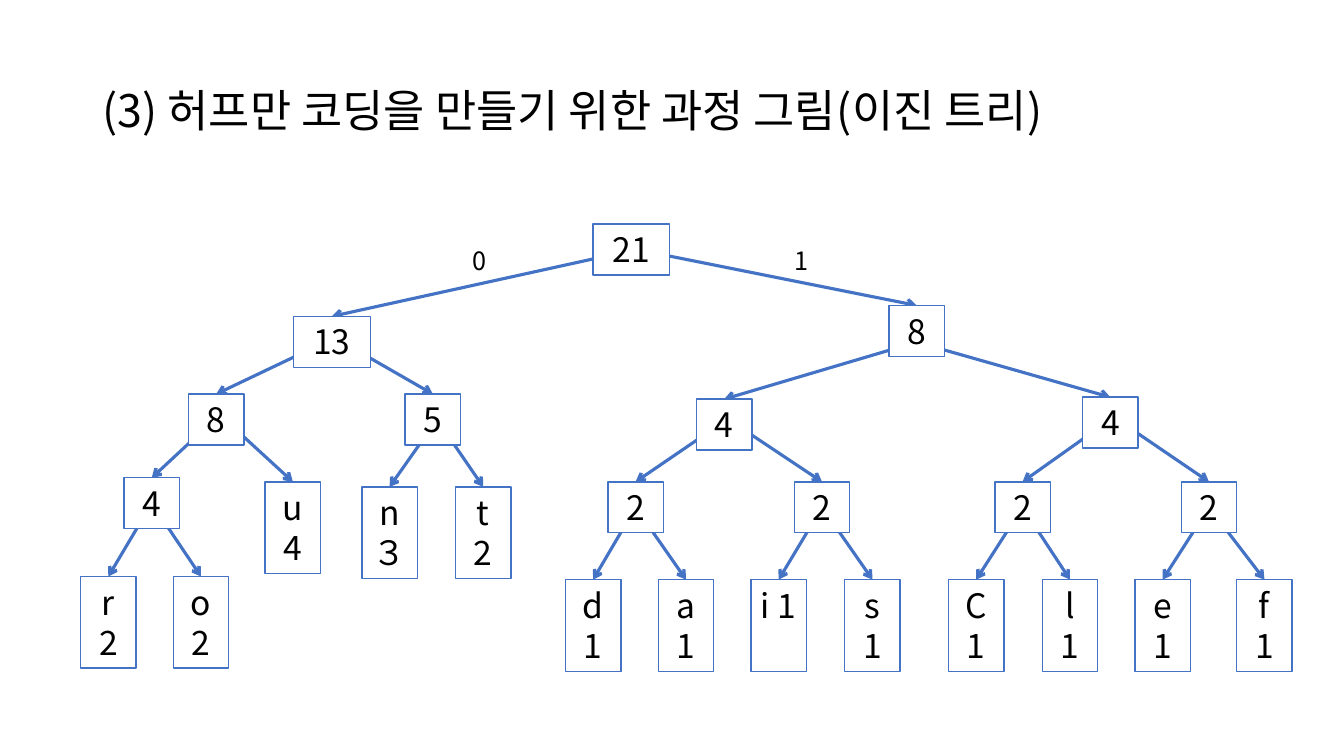
from dataclasses import dataclass

from lxml.etree import SubElement
from pptx import Presentation
from pptx.dml.color import RGBColor
from pptx.enum.shapes import MSO_CONNECTOR, MSO_SHAPE
from pptx.enum.text import MSO_ANCHOR, MSO_AUTO_SIZE, PP_ALIGN
from pptx.oxml.ns import qn
from pptx.shapes.shapetree import SlideShapes
from pptx.slide import Slide
from pptx.text.text import TextFrame
from pptx.util import Pt

BLUE = RGBColor(0x44, 0x72, 0xC4)
WHITE = RGBColor(0xFF, 0xFF, 0xFF)
BLACK = RGBColor(0x00, 0x00, 0x00)
FONT = "Noto Sans CJK KR"


@dataclass(frozen=True)
class Node:
    """A tree box: mid is its centre line; dx, dy shift where its arrows start."""
    text: str
    mid: float
    top: float
    kids: tuple["Node", ...] = ()
    dx: float = 0
    dy: float = 0

    @property
    def width(self) -> float:
        return 55 if self.kids and len(self.text) > 1 else 39.6

    @property
    def height(self) -> float:
        return 36.4 if self.kids else 65.5


@dataclass(frozen=True)
class Label:
    text: str
    left: float
    top: float


def twig(mid: float, one: Node, two: Node) -> Node:
    """A pair of single letters under a box of weight 2."""
    return Node("2", mid, 344.2, (one, two))


def leaf(text: str, mid: float) -> Node:
    return Node(text, mid, 414)


# Left half of the tree
LEFT = Node("13", 237, 226, (
    Node("8", 154.4, 281.5, (
        Node("4", 108.4, 341.3, (Node("r 2", 77.4, 411.8), Node("o2", 143.6, 411.8))),
        Node("u4", 209.2, 344.2),
    ), 2.5, -3.5),
    Node("5", 309.2, 281.5, (
        Node("n３", 278.3, 347.8),
        Node("t 2", 345.2, 347.8),
    ), 3),
), 2, -3)

# Right half of the tree
RIGHT = Node("8", 654.8, 218.2, (
    Node("4", 517.3, 285.1, (
        twig(454, leaf("d1", 423.7), leaf("a1", 490)),
        twig(587.2, leaf("i 1", 556.2), leaf("s 1", 623.2)),
    ), 2.5, -4),
    Node("4", 793.1, 283.7, (
        twig(730.4, leaf("C1", 697.3), leaf("l 1", 764.3)),
        twig(863.6, leaf("e1", 830.5), leaf("f 1", 903.2)),
    ), 2.5, -4),
), 0, 8)

ROOT = Node("21", 451, 160, (LEFT, RIGHT), 3.5)
LABELS = (Label("0", 330.5, 172), Label("1", 560.2, 172))


def write(frame: TextFrame, text: str, size: float, align: PP_ALIGN) -> None:
    frame.text = text
    para = frame.paragraphs[0]
    para.alignment = align
    para.font.name = FONT
    para.font.size = Pt(size)
    para.font.color.rgb = BLACK


def add_edges(shapes: SlideShapes, node: Node) -> None:
    for kid in node.kids:
        line = shapes.add_connector(
            MSO_CONNECTOR.STRAIGHT,
            Pt(node.mid + node.dx), Pt(node.top + node.height / 2 + node.dy),
            Pt(kid.mid), Pt(kid.top))
        line.line.color.rgb = BLUE
        line.line.width = Pt(2.25)
        SubElement(line.line._get_or_add_ln(), qn("a:tailEnd"), type="arrow")
        SubElement(line._element.spPr, qn("a:effectLst"))
        add_edges(shapes, kid)


def add_boxes(shapes: SlideShapes, node: Node) -> None:
    box = shapes.add_shape(
        MSO_SHAPE.RECTANGLE, Pt(node.mid - node.width / 2), Pt(node.top),
        Pt(node.width), Pt(node.height))
    box.shadow.inherit = False
    box.fill.solid()
    box.fill.fore_color.rgb = WHITE
    box.line.color.rgb = BLUE
    box.line.width = Pt(1)
    frame = box.text_frame
    frame.word_wrap = True
    frame.auto_size = MSO_AUTO_SIZE.SHAPE_TO_FIT_TEXT
    frame.vertical_anchor = MSO_ANCHOR.TOP
    write(frame, node.text, 24, PP_ALIGN.CENTER)
    for kid in node.kids:
        add_boxes(shapes, kid)


def add_label(shapes: SlideShapes, label: Label) -> None:
    box = shapes.add_textbox(Pt(label.left), Pt(label.top), Pt(24.5), Pt(29))
    frame = box.text_frame
    frame.word_wrap = False
    frame.auto_size = MSO_AUTO_SIZE.SHAPE_TO_FIT_TEXT
    write(frame, label.text, 18, PP_ALIGN.LEFT)


def set_title(slide: Slide) -> None:
    title = slide.shapes.title
    title.left, title.top = Pt(66), Pt(28.75)
    title.width, title.height = Pt(828), Pt(104.4)
    frame = title.text_frame
    frame.auto_size = MSO_AUTO_SIZE.NONE
    frame.vertical_anchor = MSO_ANCHOR.MIDDLE
    write(frame, "(3) 허프만 코딩을 만들기 위한 과정 그림(이진 트리)", 32, PP_ALIGN.LEFT)
    frame.paragraphs[0].line_spacing = 0.9


def main() -> None:
    deck = Presentation()
    deck.slide_width, deck.slide_height = Pt(960), Pt(540)
    slide = deck.slides.add_slide(deck.slide_layouts[5])
    set_title(slide)

    # Arrows lie behind the boxes
    add_edges(slide.shapes, ROOT)
    add_boxes(slide.shapes, ROOT)
    for label in LABELS:
        add_label(slide.shapes, label)
    deck.save("out.pptx")


if __name__ == "__main__":
    main()
